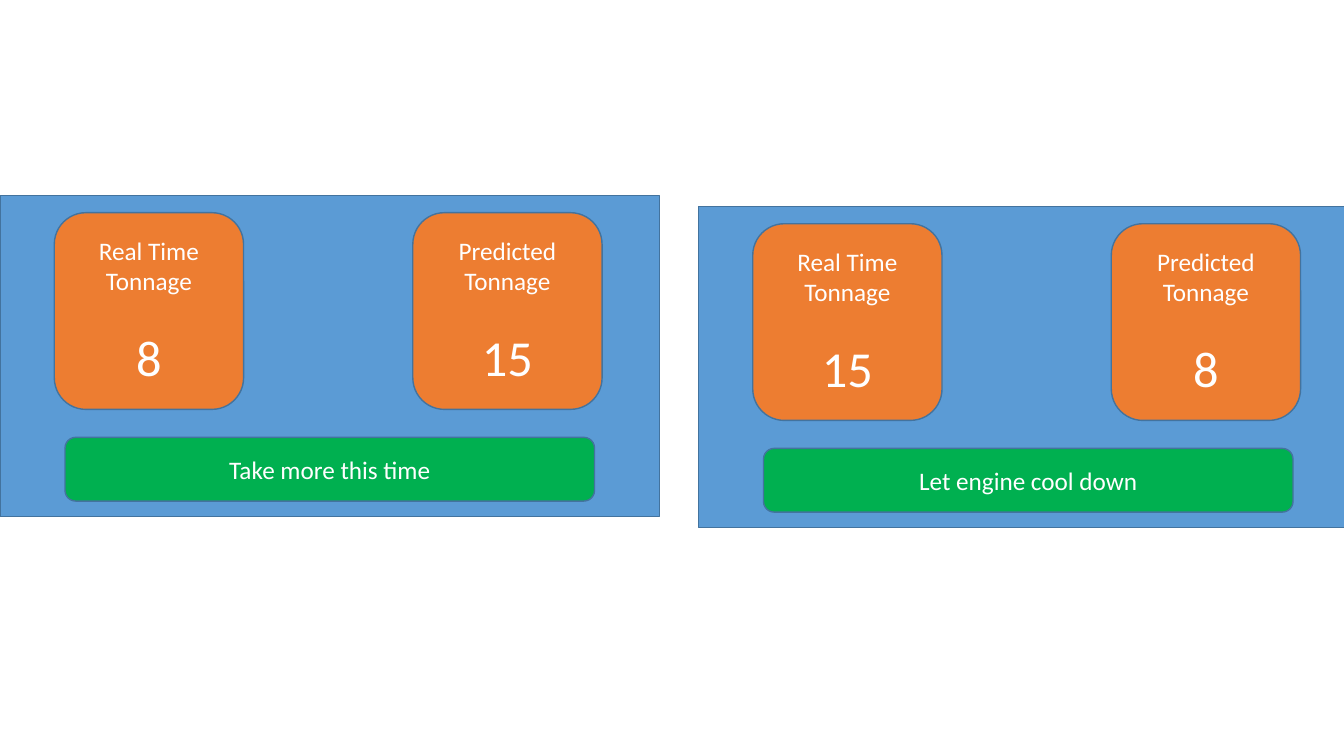
"""Builds a slide with two tonnage dashboards, each with two readings and an advice bar."""
from pptx import Presentation
from pptx.dml.color import RGBColor
from pptx.enum.shapes import MSO_SHAPE as Shape
from pptx.enum.text import MSO_ANCHOR as Anchor, PP_ALIGN as Align
from pptx.util import Pt

COLORS = {
    "panel": "5B9BD5",
    "card": "ED7D31",
    "advice": "00B050",
    "outline": "43739E",
    "text": "FFFFFF",
}
FONT = "Calibri"
LABEL_SIZE, VALUE_SIZE = 18, 36
VALUE_GAP = 22

REAL_TIME = ["Real Time", "Tonnage"]
PREDICTED = ["Predicted Tonnage"]
DASHBOARDS = [
    {"at": (0, 139.8), "readings": [(REAL_TIME, "8"), (PREDICTED, "15")],
     "advice": "Take more this time"},
    {"at": (498.9, 147.7), "readings": [(REAL_TIME, "15"), (PREDICTED, "8")],
     "advice": "Let engine cool down"},
]

PANEL_SIZE = (471, 229)
CARD_SIZE = (135.2, 140.5)
CARD_LEFT, CARD_TOP, CARD_STEP = 38.8, 12.1, 256.1
ADVICE_SIZE = (378.2, 45.5)
ADVICE_LEFT, ADVICE_TOP = 46.5, 172.6


def add_box(slide, kind, left, top, size, color):
    """Adds a filled and outlined shape."""
    shape = slide.shapes.add_shape(kind, Pt(left), Pt(top), Pt(size[0]), Pt(size[1]))
    shape.shadow.inherit = False
    shape.fill.solid()
    shape.fill.fore_color.rgb = RGBColor.from_string(COLORS[color])
    shape.line.color.rgb = RGBColor.from_string(COLORS["outline"])
    shape.line.width = Pt(1)
    return shape


def write(shape, lines):
    """Writes centred paragraphs from (text, size, space before) tuples."""
    frame = shape.text_frame
    frame.word_wrap = True
    frame.vertical_anchor = Anchor.MIDDLE
    frame.text = "\n".join(text for text, _, _ in lines)
    for paragraph, (_, size, gap) in zip(frame.paragraphs, lines):
        paragraph.alignment = Align.CENTER
        paragraph.space_before = Pt(gap)
        font = paragraph.runs[0].font
        font.name = FONT
        font.size = Pt(size)
        font.color.rgb = RGBColor.from_string(COLORS["text"])


def add_dashboard(slide, dashboard):
    """Adds a panel with its reading cards and advice bar."""
    left, top = dashboard["at"]
    add_box(slide, Shape.RECTANGLE, left, top, PANEL_SIZE, "panel")
    for column, (label, value) in enumerate(dashboard["readings"]):
        card = add_box(slide, Shape.ROUNDED_RECTANGLE, left + CARD_LEFT + column * CARD_STEP,
                       top + CARD_TOP, CARD_SIZE, "card")
        lines = [(text, LABEL_SIZE, 0) for text in label]
        write(card, lines + [(value, VALUE_SIZE, VALUE_GAP)])
    advice = add_box(slide, Shape.ROUNDED_RECTANGLE, left + ADVICE_LEFT,
                     top + ADVICE_TOP, ADVICE_SIZE, "advice")
    write(advice, [(dashboard["advice"], LABEL_SIZE, 0)])


def main():
    """Builds and saves the presentation."""
    presentation = Presentation()
    presentation.slide_width, presentation.slide_height = Pt(960), Pt(540)
    slide = presentation.slides.add_slide(presentation.slide_layouts[6])
    for dashboard in DASHBOARDS:
        add_dashboard(slide, dashboard)
    presentation.save("out.pptx")


if __name__ == "__main__":
    main()
